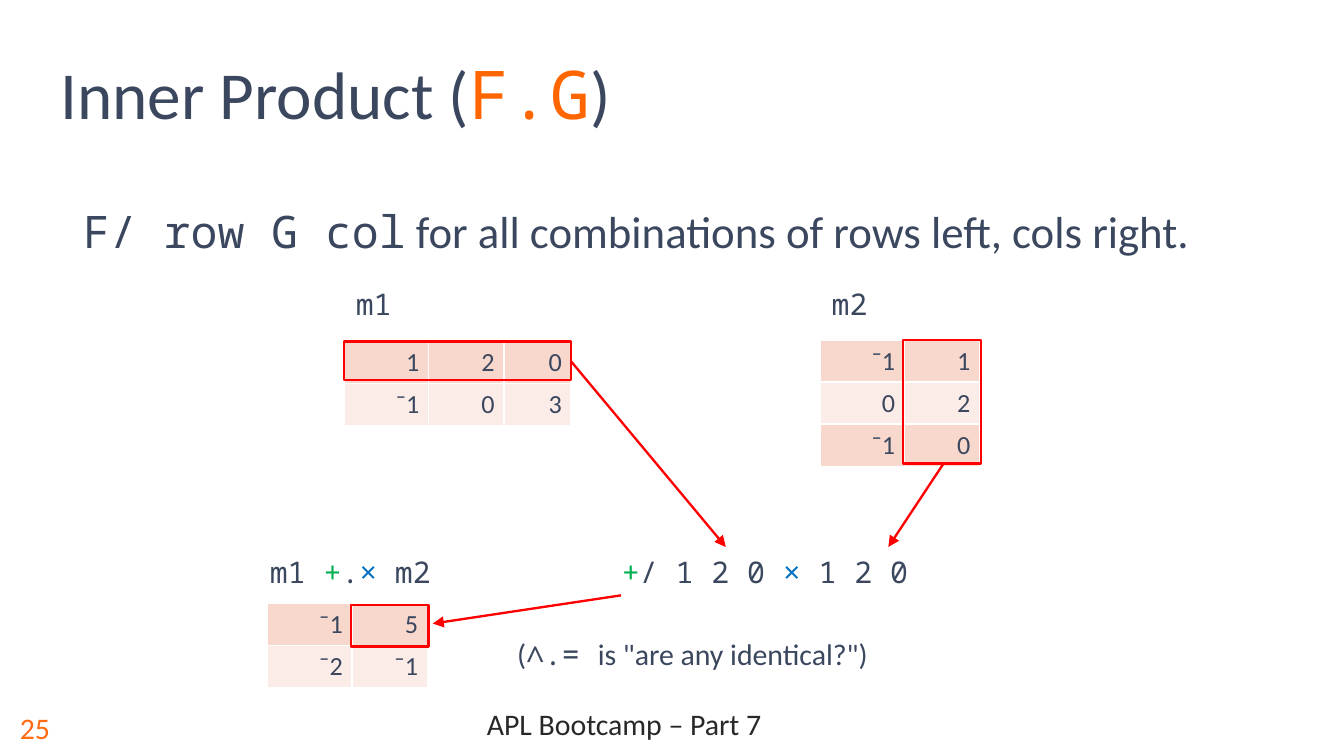
import pptx
import pptx.dml.color
import pptx.enum.shapes
import pptx.enum.text
import pptx.oxml
import pptx.oxml.ns
import pptx.util
from pptx.util import Inches

SANS, MONO = "Calibri", "Noto Sans Mono"
INK, GREEN, BLUE, RED = "3B475E", "00B050", "0070C0", "FF0000"
ORANGE, BLACK = "FF6A13", "282828"
BANDS = ["F8D8CC", "FCECE7"]
NS = pptx.oxml.ns.nsdecls("a")
rgb = pptx.dml.color.RGBColor.from_string
PP_ALIGN = pptx.enum.text.PP_ALIGN
ANCHOR = pptx.enum.text.MSO_ANCHOR
AUTO_SIZE = pptx.enum.text.MSO_AUTO_SIZE


def add_runs(p, size, runs):
    """Append (text, font, colour) runs to a paragraph."""
    for text, font, colour in runs:
        r = p.add_run()
        r.text = text
        for name, value in {"size": pptx.util.Pt(size), "name": font}.items():
            setattr(r.font, name, value)
        r.font.color.rgb = rgb(colour)


prs = pptx.Presentation()
prs.slide_width = Inches(10)
prs.slide_height = Inches(10 * 9 / 16)
s = prs.slides.add_slide(prs.slide_layouts[5])

# Title
title = s.shapes.title
title.left, title.top, title.width, title.height = map(Inches, (0.35, 0.29, 7.12, 0.75))
tf = title.text_frame
for name, value in {"vertical_anchor": ANCHOR.BOTTOM, "auto_size": AUTO_SIZE.NONE,
                    "word_wrap": True}.items():
    setattr(tf, name, value)
tf.paragraphs[0].alignment = PP_ALIGN.LEFT
add_runs(tf.paragraphs[0], 36, [("Inner Product (", SANS, INK), ("F.G", MONO, "FF6600"),
                                (")", SANS, INK)])

# Footer and slide number
for box, align, text, colour in [
    ((0.78, 5.19, 7.73, 0.44), PP_ALIGN.CENTER, "APL Bootcamp – Part 7", BLACK),
    ((0.05, 5.19, 0.73, 0.44), PP_ALIGN.LEFT, "25", ORANGE),
]:
    tf = s.shapes.add_textbox(*map(Inches, box)).text_frame
    tf.word_wrap = True
    tf.vertical_anchor = ANCHOR.MIDDLE
    p = tf.paragraphs[0]
    p.alignment = align
    if align == PP_ALIGN.CENTER:
        p.line_spacing = 0.8
    add_runs(p, 16, [(text, SANS, colour)])

# Expressions and labels
for box, size, runs in [
    ((0.52, 1.47, 9.17, 0.5), 24, [
        ("F/ row G col", MONO, INK),
        (" for all combinations of rows left, cols right.", SANS, INK)]),
    ((2.55, 2.08, 0.47, 0.37), 16, [("m1", MONO, INK)]),
    ((6.09, 2.08, 0.47, 0.37), 16, [("m2", MONO, INK)]),
    ((1.91, 4.07, 1.42, 0.37), 16, [
        ("m1 ", MONO, INK), ("+", MONO, GREEN), (".", MONO, INK),
        ("×", MONO, BLUE), (" m2", MONO, INK)]),
    ((4.53, 4.07, 2.36, 0.37), 16, [
        ("+", MONO, GREEN), ("/ 1 2 0 ", MONO, INK),
        ("×", MONO, BLUE), (" 1 2 0", MONO, INK)]),
    ((3.75, 4.68, 2.95, 0.37), 16, [
        ("(", SANS, INK), ("∧.= ", MONO, INK), ('is "are any identical?")', SANS, INK)]),
]:
    tf = s.shapes.add_textbox(*map(Inches, box)).text_frame
    tf.word_wrap = False
    tf.auto_size = AUTO_SIZE.SHAPE_TO_FIT_TEXT
    add_runs(tf.paragraphs[0], size, runs)

# Matrices
COL_WIDTHS, ROW_HEIGHT = [0.63, 0.56, 0.5], 0.31
CELL_FORMAT = {"margin_left": Inches(0.07), "margin_right": Inches(0.07),
               "margin_top": Inches(0.04), "margin_bottom": Inches(0.04)}
for left, top, matrix in [
    (2.56, 2.54, [["1", "2", "0"], ["¯1", "0", "3"]]),
    (6.1, 2.53, [["¯1", "1"], ["0", "2"], ["¯1", "0"]]),
    (1.99, 4.49, [["¯1", "5"], ["¯2", "¯1"]]),
]:
    widths = COL_WIDTHS[:len(matrix[0])]
    table = s.shapes.add_table(len(matrix), len(widths), Inches(left), Inches(top),
                               Inches(sum(widths)), Inches(ROW_HEIGHT * len(matrix))).table
    for column, width in zip(table.columns, widths):
        column.width = Inches(width)
    for i, values in enumerate(matrix):
        table.rows[i].height = Inches(ROW_HEIGHT)
        for j, value in enumerate(values):
            cell = table.cell(i, j)
            for name, setting in CELL_FORMAT.items():
                setattr(cell, name, setting)
            tcPr = cell._tc.get_or_add_tcPr()
            for side in ("lnL", "lnR", "lnT", "lnB"):
                tcPr.append(pptx.oxml.parse_xml(
                    f'<a:{side} {NS} w="12700"><a:solidFill><a:srgbClr val="FFFFFF"/>'
                    f'</a:solidFill></a:{side}>'))
            cell.fill.solid()
            cell.fill.fore_color.rgb = rgb(BANDS[i % 2])
            p = cell.text_frame.paragraphs[0]
            p.alignment = PP_ALIGN.RIGHT
            add_runs(p, 14, [(value, SANS, INK)])

# Frames round the chosen row, column and result
for box in [(2.56, 2.54, 1.69, 0.29), (6.72, 2.53, 0.58, 0.92), (2.61, 4.5, 0.58, 0.31)]:
    sp = s.shapes.add_shape(pptx.enum.shapes.MSO_SHAPE.RECTANGLE, *map(Inches, box))
    sp.shadow.inherit = False
    sp.fill.background()
    sp.line.color.rgb = rgb(RED)
    sp.line.width = pptx.util.Pt(1.25)

# Arrows from the frames to the expression and on to the result
for ends in [(4.25, 2.69, 5.4, 4.07), (7.02, 3.45, 6.61, 4.07), (4.62, 4.43, 3.22, 4.64)]:
    arrow = s.shapes.add_connector(pptx.enum.shapes.MSO_CONNECTOR.STRAIGHT,
                                   *map(Inches, ends))
    arrow.line.color.rgb = rgb(RED)
    arrow.line.width = pptx.util.Pt(1.25)
    arrow.line._get_or_add_ln().append(
        pptx.oxml.parse_xml(f'<a:tailEnd {NS} type="triangle"/>'))
    arrow._element.spPr.append(pptx.oxml.parse_xml(f"<a:effectLst {NS}/>"))

prs.save("out.pptx")
